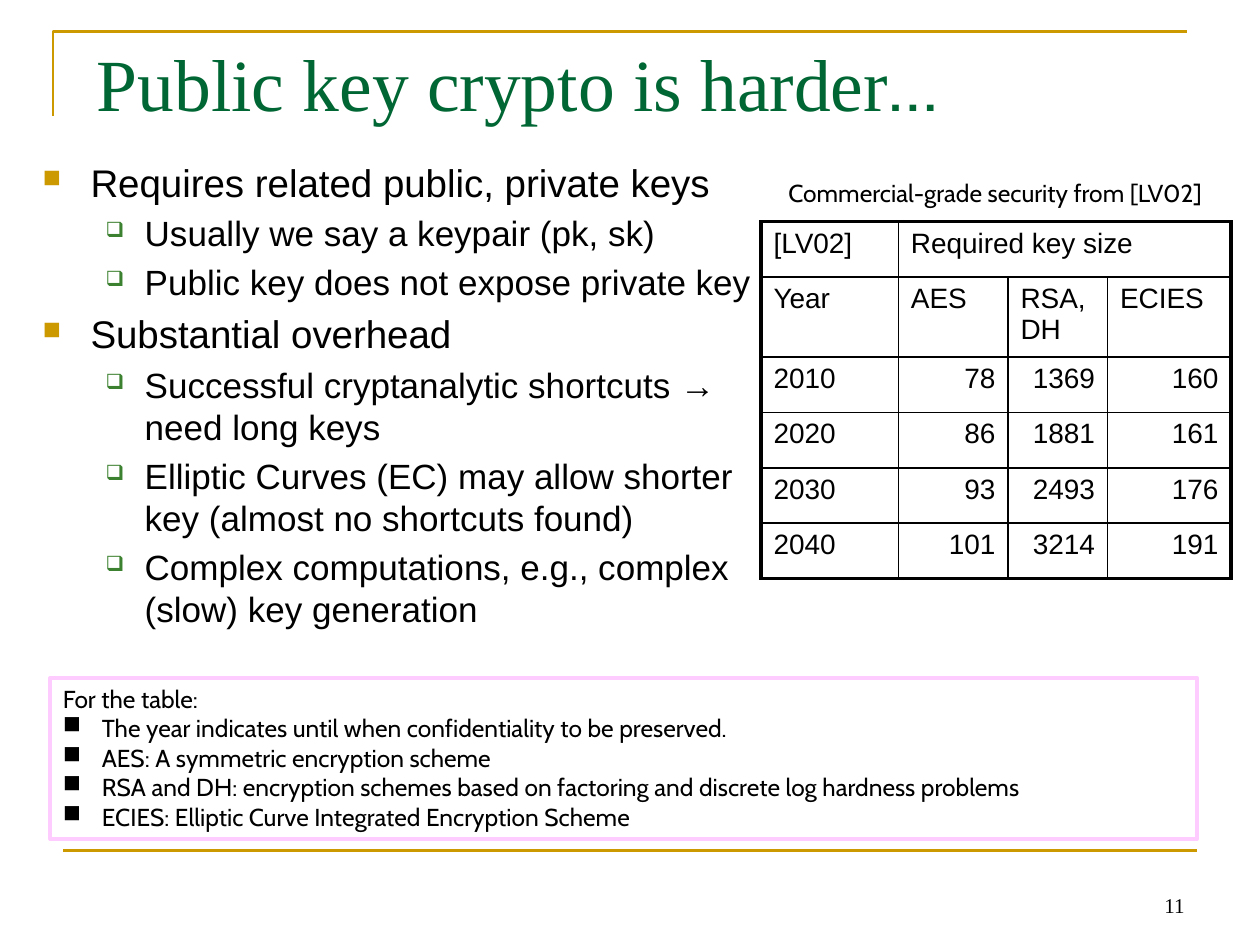
from lxml import etree
from pptx import Presentation, util as u
from pptx.dml.color import RGBColor
from pptx.enum import shapes, text
from pptx.oxml.ns import qn

COLORS = {"gold": "CC9900", "title": "006633", "green": "3B812F",
          "black": "000000", "pink": "FFCCFF"}
TITLE = [("Public key crypto is harder", "Times New Roman"), ("…", "Cabin")]
POINTS = [
    (0, "Requires related public, private keys"),
    (1, "Usually we say a keypair (pk, sk)"),
    (1, "Public key does not expose private key"),
    (0, "Substantial overhead"),
    (1, "Successful cryptanalytic shortcuts → need long keys"),
    (1, "Elliptic Curves (EC) may allow shorter key (almost no shortcuts found)"),
    (1, "Complex computations, e.g., complex (slow) key generation"),
]
LEVELS = [
    dict(size=22, indent=0.38, hang=0.38, mark="■", color="gold", percent=65),
    dict(size=20, indent=0.81, hang=0.31, mark="❑", color="green", percent=60),
]
CAPTION = "Commercial-grade security from [LV02]"
KEY_SIZES = [
    ["[LV02]", "Required key size", "", ""],
    ["Year", "AES", "RSA, DH", "ECIES"],
    ["2010", "78", "1369", "160"],
    ["2020", "86", "1881", "161"],
    ["2030", "93", "2493", "176"],
    ["2040", "101", "3214", "191"],
]
COLUMN_WIDTHS = [1.09, 0.87, 0.79, 0.98]
ROW_HEIGHT = 0.44
NOTES = [
    "For the table:",
    "The year indicates until when confidentiality to be preserved.",
    "AES: A symmetric encryption scheme",
    "RSA and DH: encryption schemes based on factoring and discrete log hardness problems",
    "ECIES: Elliptic Curve Integrated Encryption Scheme",
]


def rgb(name):
    return RGBColor.from_string(COLORS[name])


def style(font, size, name, color="black"):
    font.size, font.name = u.Pt(size), name
    font.color.rgb = rgb(color)


def add_bullet(para, mark, indent, hang, color="black", percent=100):
    props = para._p.get_or_add_pPr()
    props.set("marL", str(u.Inches(indent)))
    props.set("indent", str(-u.Inches(hang)))
    tint = etree.SubElement(props, qn("a:buClr"))
    etree.SubElement(tint, qn("a:srgbClr"), val=COLORS[color])
    etree.SubElement(props, qn("a:buSzPct"), val=str(percent * 1000))
    etree.SubElement(props, qn("a:buChar"), char=mark)


def add_box(page, *bounds, wrap=True):
    box = page.shapes.add_textbox(*map(u.Inches, bounds))
    box.text_frame.word_wrap = wrap
    return box.text_frame


def fill_paragraphs(frame, lines):
    frame.text = "\n".join(lines)
    return frame.paragraphs


def add_rules(page):
    builder = page.shapes.build_freeform(u.Inches(0.42), u.Inches(0.92))
    builder.add_line_segments([(u.Inches(0.42), u.Inches(0.25)),
                               (u.Inches(9.42), u.Inches(0.25))], close=False)
    corner = builder.convert_to_shape()
    corner.shadow.inherit = False
    corner.fill.background()
    footer = page.shapes.add_connector(
        shapes.MSO_CONNECTOR.STRAIGHT, *map(u.Inches, (0.5, 6.75, 9.5, 6.75)))
    etree.SubElement(footer._element.spPr, qn("a:effectLst"))
    for rule in (corner, footer):
        rule.line.color.rgb = rgb("gold")
        rule.line.width = u.Pt(1.5)


def add_title(page):
    para = add_box(page, 0.67, 0.25, 8.5, 0.75).paragraphs[0]
    for words, name in TITLE:
        span = para.add_run()
        span.text = words
        style(span.font, 42, name, "title")


def add_points(page):
    frame = add_box(page, 0.24, 1.21, 5.89, 5.16)
    paragraphs = fill_paragraphs(frame, [words for _, words in POINTS])
    for index, (para, (level, _)) in enumerate(zip(paragraphs, POINTS)):
        look = dict(LEVELS[level])
        size = look.pop("size")
        para.level = level
        add_bullet(para, **look)
        if index:
            para.space_before = u.Pt(size * 0.2)
        style(para.runs[0].font, size, "Arial")


def set_borders(cell, at_edge):
    props = cell._tc.get_or_add_tcPr()
    for side, outer in at_edge.items():
        line = etree.SubElement(props, qn("a:ln" + side),
                                w=str(u.Pt(2.25 if outer else 1)))
        solid = etree.SubElement(line, qn("a:solidFill"))
        etree.SubElement(solid, qn("a:srgbClr"), val=COLORS["black"])


def add_key_table(page):
    row_count, column_count = len(KEY_SIZES), len(COLUMN_WIDTHS)
    table = page.shapes.add_table(
        row_count, column_count, u.Inches(6.04), u.Inches(1.76),
        u.Inches(sum(COLUMN_WIDTHS)), u.Inches(ROW_HEIGHT * row_count)).table
    table.first_row = table.horz_banding = False
    for column, width in zip(table.columns, COLUMN_WIDTHS):
        column.width = u.Inches(width)
    for r, values in enumerate(KEY_SIZES):
        table.rows[r].height = u.Inches(ROW_HEIGHT)
        for c, value in enumerate(values):
            cell = table.cell(r, c)
            set_borders(cell, {
                "L": c == 0, "R": c == column_count - 1 or (r, c) == (0, 1),
                "T": r == 0, "B": r == row_count - 1})
            cell.fill.background()
            cell.text = value
            para = cell.text_frame.paragraphs[0]
            style(para.font, 16, "Arial")
            for span in para.runs:
                style(span.font, 16, "Arial")
            if r > 1 and c:
                para.alignment = text.PP_ALIGN.RIGHT
    table.cell(0, 1).merge(table.cell(0, column_count - 1))


def add_notes_box(page):
    box = page.shapes.add_shape(shapes.MSO_SHAPE.RECTANGLE,
                                *map(u.Inches, (0.4, 5.38, 9.1, 1.28)))
    box.shadow.inherit = False
    box.fill.background()
    box.line.color.rgb = rgb("pink")
    box.line.width = u.Pt(2.25)
    frame = box.text_frame
    frame.word_wrap = True
    frame.vertical_anchor = text.MSO_ANCHOR.TOP
    for index, para in enumerate(fill_paragraphs(frame, NOTES)):
        para.alignment = text.PP_ALIGN.LEFT
        if index:
            add_bullet(para, "■", 0.31, 0.31)
        style(para.runs[0].font, 14, "Cabin")


def add_label(frame, words, size, name, alignment):
    frame.text = words
    para = frame.paragraphs[0]
    para.alignment = alignment
    style(para.runs[0].font, size, name)


def main():
    deck = Presentation()
    deck.slide_width, deck.slide_height = u.Inches(10), u.Inches(7.5)
    page = deck.slides.add_slide(deck.slide_layouts[6])
    add_rules(page)
    number = add_box(page, 7.17, 6.83, 2.33, 0.5)
    number.vertical_anchor = text.MSO_ANCHOR.BOTTOM
    add_label(number, "11", 12, "Times New Roman", text.PP_ALIGN.RIGHT)
    add_title(page)
    add_points(page)
    add_key_table(page)
    add_notes_box(page)
    caption = add_box(page, 6.1, 1.36, 3.6, 0.81, wrap=False)
    add_label(caption, CAPTION, 14, "Cabin", text.PP_ALIGN.CENTER)
    deck.save("out.pptx")


if __name__ == "__main__":
    main()
